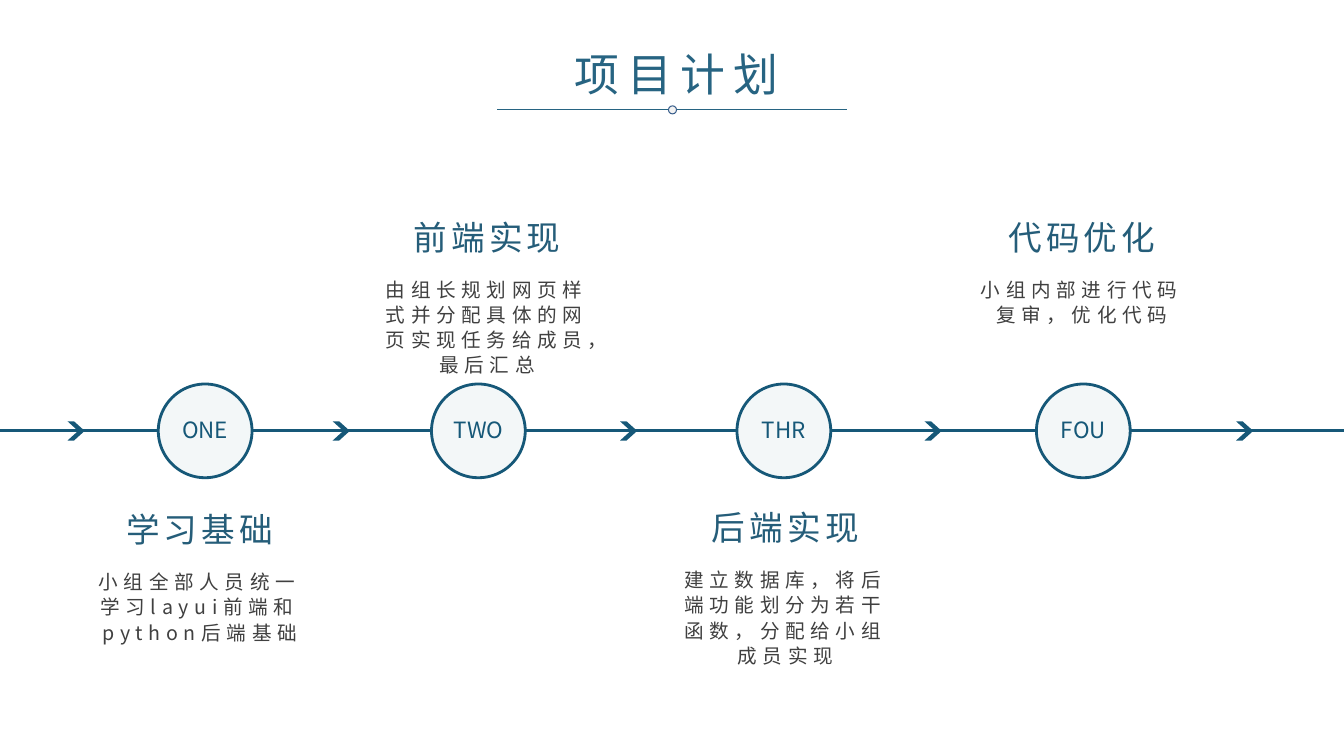
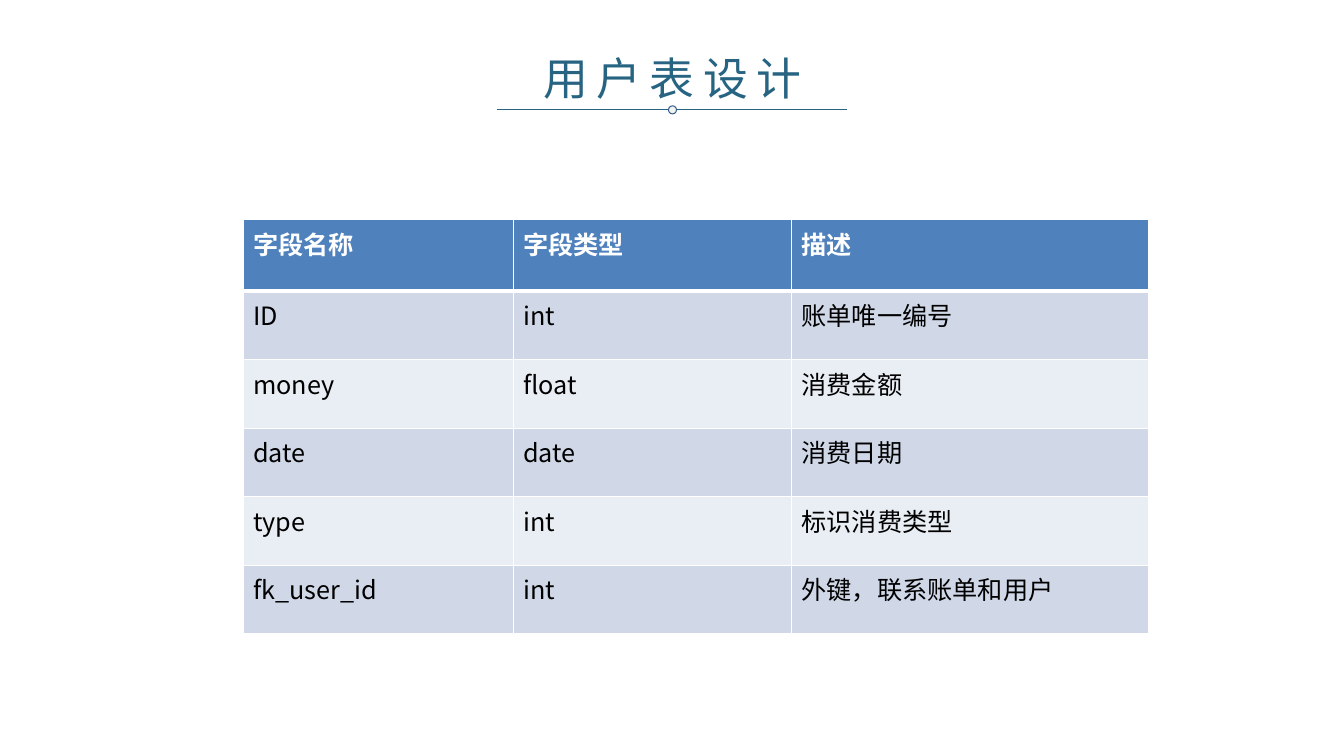
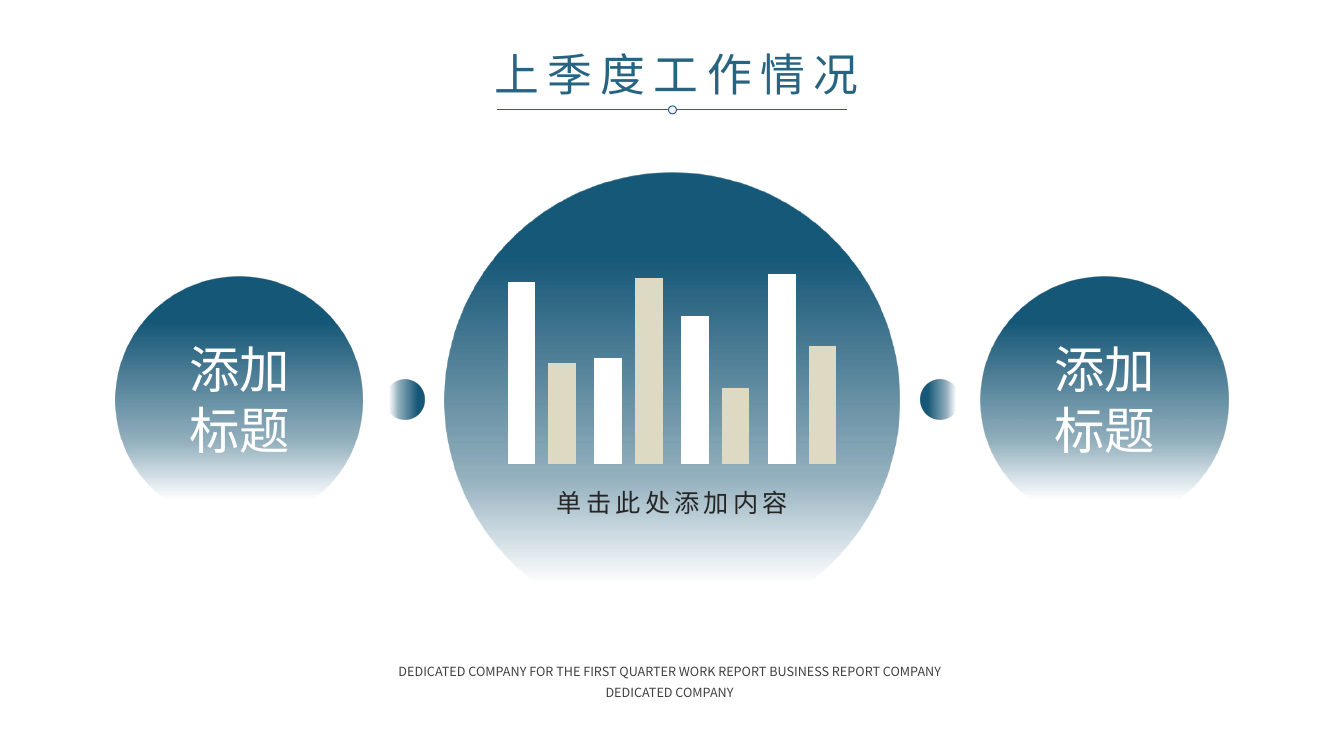
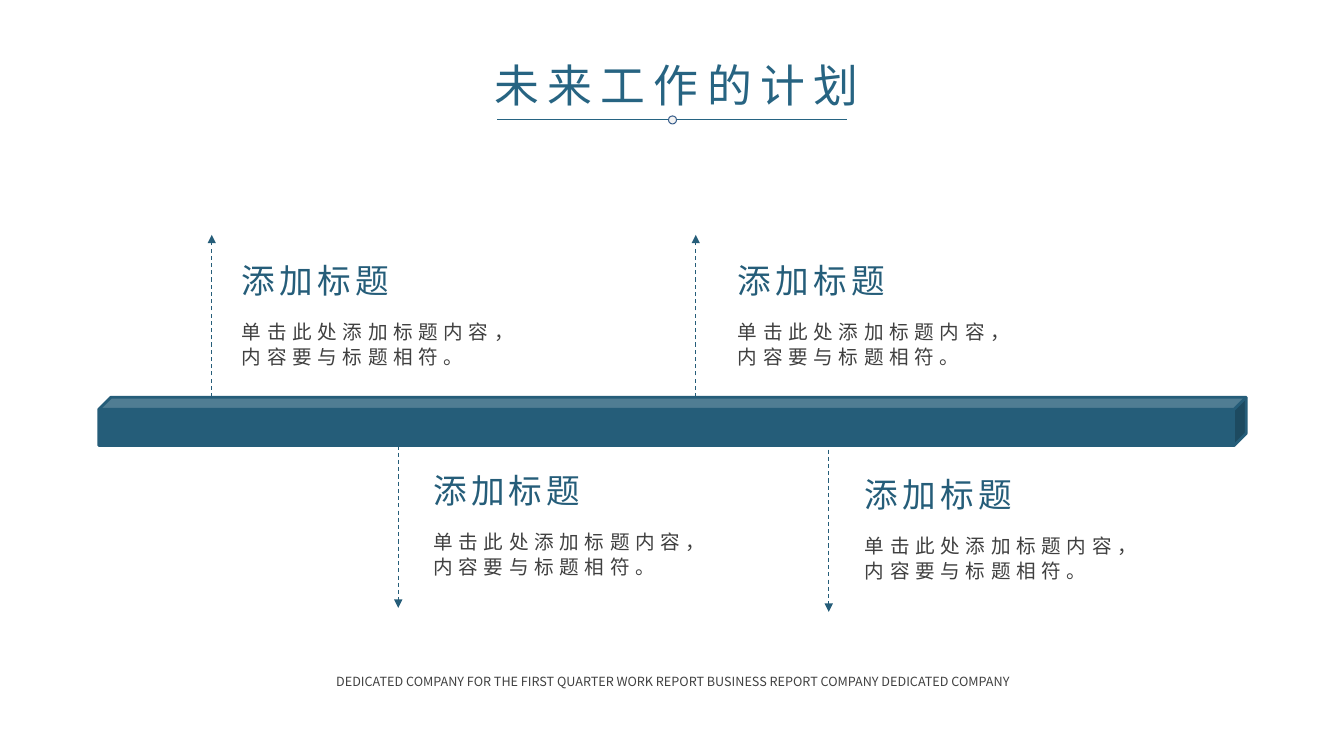
from dataclasses import dataclass

from lxml import etree
from pptx import Presentation
from pptx.chart.data import CategoryChartData
from pptx.dml.color import RGBColor
from pptx.enum.chart import XL_CHART_TYPE
from pptx.enum.dml import MSO_LINE
from pptx.enum.shapes import MSO_CONNECTOR, MSO_SHAPE
from pptx.enum.text import MSO_ANCHOR, MSO_AUTO_SIZE, PP_ALIGN
from pptx.oxml import parse_xml
from pptx.oxml.ns import nsdecls, qn
from pptx.util import Inches, Pt

ELLIPSE, CHEVRON, CUBE = MSO_SHAPE.OVAL, MSO_SHAPE.CHEVRON, MSO_SHAPE.CUBE
STRAIGHT, DASH = MSO_CONNECTOR.STRAIGHT, MSO_LINE.DASH
LEFT, CENTER = PP_ALIGN.LEFT, PP_ALIGN.CENTER
TOP, FIT_SHAPE = MSO_ANCHOR.TOP, MSO_AUTO_SIZE.SHAPE_TO_FIT_TEXT
COLUMNS = XL_CHART_TYPE.COLUMN_CLUSTERED
TITLE_ONLY = 5


@dataclass(frozen=True)
class Theme:
    """Colours, font and type sizes of the deck."""
    font: str = "Noto Sans CJK SC"
    deep: str = "165878"
    mid: str = "155371"
    teal: str = "255D79"
    title: str = "276482"
    ring: str = "3A5F8C"
    pale: str = "F3F7F8"
    dot: str = "F2F2F2"
    gray: str = "404040"
    ink: str = "262626"
    white: str = "FFFFFF"
    black: str = "000000"
    sand: str = "DDD9C3"
    header: str = "4F81BD"
    bands: tuple = ("D0D8E8", "E9EDF4")

    def text(self, role):
        """Font values, colour, letter spacing (points) and line spacing of a role."""
        size, color, spacing, line = {
            "title": (32, self.title, 6, None),
            "heading": (24, self.teal, 3, None),
            "body": (14, self.gray, 4, Pt(18)),
            "label": (16, self.deep, 0, None),
            "circle": (36, self.white, 0, None),
            "caption": (18, self.ink, 3, 1.3),
            "footer": (9, self.gray, 0, Pt(15)),
            "table head": (18, self.white, 0, None),
            "table cell": (18, self.black, 0, None),
        }[role]
        values = {"name": self.font, "size": Pt(size), "bold": role == "table head"}
        return values, color, spacing, line


def rgb(color):
    return RGBColor.from_string(color)


class Deck:
    """Holds the presentation, its theme and the current slide."""

    def __init__(self, theme):
        self.theme = theme
        self.prs = Presentation()
        self.prs.slide_width, self.prs.slide_height = Inches(13.33), Inches(7.5)
        self.slide = None

    def new_slide(self, title, x=4.7, y=0.41, rule_y=1.09):
        """Add a slide with its title, rule and dot."""
        self.slide = self.prs.slides.add_slide(self.prs.slide_layouts[TITLE_ONLY])
        sp = self.slide.shapes.title
        sp.left, sp.top, sp.width, sp.height = map(Inches, (x, y, 4.02, 0.64))
        self.fill_frame(sp.text_frame, title, "title", CENTER)
        self.line((4.93, rule_y), (8.4, rule_y), self.theme.title)
        self.shape(ELLIPSE, 6.63, rule_y - 0.04, 0.08, 0.08, self.theme.dot,
                   self.theme.ring, 0.75)

    def fill_paragraph(self, p, text, role, align):
        values, color, spacing, line = self.theme.text(role)
        p.alignment = align
        if line is not None:
            p.line_spacing = line
        r = p.add_run()
        r.text = text
        for name, value in values.items():
            setattr(r.font, name, value)
        r.font.color.rgb = rgb(color)
        rpr = r._r.get_or_add_rPr()
        rpr.set("spc", str(spacing * 100))
        etree.SubElement(rpr, qn("a:ea")).set("typeface", self.theme.font)

    def fill_frame(self, tf, text, role, align):
        for name, value in {"word_wrap": True, "auto_size": FIT_SHAPE,
                            "vertical_anchor": TOP}.items():
            setattr(tf, name, value)
        self.fill_paragraph(tf.paragraphs[0], text, role, align)

    def text(self, x, y, w, h, text, role, align=CENTER):
        sp = self.slide.shapes.add_textbox(*map(Inches, (x, y, w, h)))
        self.fill_frame(sp.text_frame, text, role, align)

    def shape(self, kind, x, y, w, h, fill=None, line=None, width=2):
        sp = self.slide.shapes.add_shape(kind, *map(Inches, (x, y, w, h)))
        sp.shadow.inherit = False
        if fill:
            sp.fill.solid()
            sp.fill.fore_color.rgb = rgb(fill)
        if line:
            sp.line.color.rgb = rgb(line)
            sp.line.width = Pt(width)
        else:
            sp.line.fill.background()
        return sp

    def fading_circle(self, x, y, size, rotation=0):
        """A circle that fades from solid at the top to clear near the bottom."""
        sp = self.shape(ELLIPSE, x, y, size, size)
        sp.rotation = rotation
        stops = "".join(
            f'<a:gs pos="{pos * 1000}"><a:srgbClr val="{color}">'
            f'<a:alpha val="{alpha * 1000}"/></a:srgbClr></a:gs>'
            for pos, color, alpha in ((18, self.theme.deep, 100),
                                      (67, self.theme.mid, 45),
                                      (90, self.theme.deep, 0)))
        grad = parse_xml(f'<a:gradFill {nsdecls("a")} rotWithShape="1"><a:gsLst>{stops}'
                         '</a:gsLst><a:lin ang="5400000" scaled="0"/></a:gradFill>')
        sp._element.spPr.find(qn("a:prstGeom")).addnext(grad)

    def line(self, start, end, color, width=0.75, arrow=False):
        """A straight line; an arrow is dashed and has a triangle at its end."""
        cx = self.slide.shapes.add_connector(STRAIGHT, *map(Inches, start + end))
        cx.line.color.rgb = rgb(color)
        cx.line.width = Pt(width)
        sppr = cx._element.spPr
        if arrow:
            cx.line.dash_style = DASH
            tail = etree.SubElement(sppr.find(qn("a:ln")), qn("a:tailEnd"))
            tail.set("type", "triangle")
        etree.SubElement(sppr, qn("a:effectLst"))

    def borders(self, cell, is_head):
        tcpr = cell._tc.get_or_add_tcPr()
        for side in "LRTB":
            width = Pt(3 if is_head and side == "B" else 1)
            tcpr.append(parse_xml(
                f'<a:ln{side} {nsdecls("a")} w="{width}"><a:solidFill><a:srgbClr '
                f'val="{self.theme.white}"/></a:solidFill></a:ln{side}>'))

    def table(self, x, y, col_widths, row_heights, rows):
        frame = self.slide.shapes.add_table(
            len(rows), len(col_widths), Inches(x), Inches(y),
            Inches(sum(col_widths)), Inches(sum(row_heights)))
        table = frame.table
        for col, width in zip(table.columns, col_widths):
            col.width = Inches(width)
        for i, (row, height) in enumerate(zip(table.rows, row_heights)):
            row.height = Inches(height)
            role = "table cell" if i else "table head"
            fill = self.theme.bands[(i - 1) % 2] if i else self.theme.header
            for cell, text in zip(row.cells, rows[i]):
                self.borders(cell, i == 0)
                cell.fill.solid()
                cell.fill.fore_color.rgb = rgb(fill)
                self.fill_paragraph(cell.text_frame.paragraphs[0], text, role, LEFT)

    def columns(self, x, y, w, h, categories, series, top):
        """A column chart without axes; series holds (name, values, colour)."""
        data = CategoryChartData()
        data.categories = categories
        for name, values, _ in series:
            data.add_series(name, values)
        chart = self.slide.shapes.add_chart(
            COLUMNS, *map(Inches, (x, y, w, h)), data).chart
        chart.has_legend = chart.has_title = False
        chart.font.name, chart.font.size = self.theme.font, Pt(10)
        chart.font.color.rgb = rgb(self.theme.black)
        axis = chart.value_axis
        axis.minimum_scale, axis.maximum_scale = 0, top
        axis.has_major_gridlines = False
        axis.visible = chart.category_axis.visible = False
        plot = chart.plots[0]
        plot.gap_width, plot.overlap, plot.vary_by_categories = 68, -48, False
        for bars, (_, _, color) in zip(plot.series, series):
            bars.format.fill.solid()
            bars.format.fill.fore_color.rgb = rgb(color)


FOOTER = ("DEDICATED COMPANY FOR THE FIRST QUARTER WORK REPORT BUSINESS REPORT "
          "COMPANY DEDICATED COMPANY")


def project_plan(deck):
    theme = deck.theme
    deck.new_slide("项目计划")
    # Timeline
    deck.line((-0.34, 4.27), (13.48, 4.27), theme.deep, 2)
    for x in (0.67, 3.3, 6.15, 9.17, 12.26):
        sp = deck.shape(CHEVRON, x, 4.18, 0.17, 0.19, theme.deep)
        sp.adjustments[0] = 0.62
    # Stages: label, circle left, text left, heading top, heading, body
    stages = (
        ("ONE", 1.57, 0.84, 5, "学习基础",
         "小组全部人员统一学习layui前端和python后端基础"),
        ("TWO", 4.28, 3.69, 2.1, "前端实现",
         "由组长规划网页样式并分配具体的网页实现任务给成员，最后汇总"),
        ("THR", 7.31, 6.65, 4.98, "后端实现",
         "建立数据库，将后端功能划分为若干函数，分配给小组成员实现"),
        ("FOU", 10.28, 9.59, 2.1, "代码优化",
         "小组内部进行代码复审，优化代码"),
    )
    for label, circle_x, x, y, heading, body in stages:
        deck.shape(ELLIPSE, circle_x, 3.81, 0.93, 0.93, theme.pale, theme.deep)
        deck.text(circle_x, 4.08, 0.93, 0.37, label, "label")
        deck.text(x + 0.22, y, 1.84, 0.5, heading, "heading")
        deck.text(x, y + 0.59, 2.28, 1.09, body, "body")


def user_table(deck):
    deck.new_slide("用户表设计", x=4.66, y=0.45)
    deck.table(2.41, 2.18, (2.68, 2.76, 3.54), [0.71] + [0.68] * 5, (
        ("字段名称", "字段类型", "描述"),
        ("ID", "int", "账单唯一编号"),
        ("money", "float", "消费金额"),
        ("date", "date", "消费日期"),
        ("type", "int", "标识消费类型"),
        ("fk_user_id", "int", "外键，联系账单和用户"),
    ))


def last_quarter(deck):
    theme = deck.theme
    deck.new_slide("上季度工作情况")
    # Central chart
    deck.fading_circle(4.41, 1.71, 4.51)
    deck.columns(4.87, 2.45, 3.59, 2.2, ("1", "2", "3", "4"), (
        ("Series 1", (96, 56, 78, 100), theme.white),
        ("Series 2", (53, 98, 40, 62), theme.sand),
    ), top=112)
    deck.text(4.9, 4.7, 3.54, 0.46, "单击此处添加内容", "caption")
    # Side circles and the small links to them
    for x, link_x, rotation in ((1.15, 3.82, 90), (9.73, 9.13, 270)):
        deck.fading_circle(x, 2.74, 2.45)
        deck.text(x + 0.45, 3.31, 1.55, 1.31, "添加标题", "circle")
        deck.fading_circle(link_x, 3.77, 0.39, rotation)
    deck.text(3.59, 6.48, 6.1, 0.5, FOOTER, "footer")


def future_plan(deck):
    theme = deck.theme
    deck.new_slide("未来工作的计划", y=0.52, rule_y=1.19)
    deck.shape(CUBE, 0.98, 3.94, 11.38, 0.48, theme.teal, theme.teal)
    # Branches: arrow x, arrow start, arrow end, text left, heading top
    branches = (
        (2.1, 3.94, 2.33, 2.3, 2.53),
        (3.95, 4.42, 6.03, 4.2, 4.61),
        (6.9, 3.94, 2.33, 7.22, 2.53),
        (8.22, 4.46, 6.07, 8.48, 4.65),
    )
    for arrow_x, start, end, x, y in branches:
        deck.line((arrow_x, start), (arrow_x, end), theme.teal, arrow=True)
        deck.text(x, y, 1.84, 0.5, "添加标题", "heading", LEFT)
        deck.text(x, y + 0.58, 3.07, 0.61,
                  "单击此处添加标题内容，内容要与标题相符。", "body", LEFT)
    deck.text(2.94, 6.58, 7.46, 0.29, FOOTER, "footer")


def main():
    deck = Deck(Theme())
    for build in (project_plan, user_table, last_quarter, future_plan):
        build(deck)
    deck.prs.save("out.pptx")


if __name__ == "__main__":
    main()
